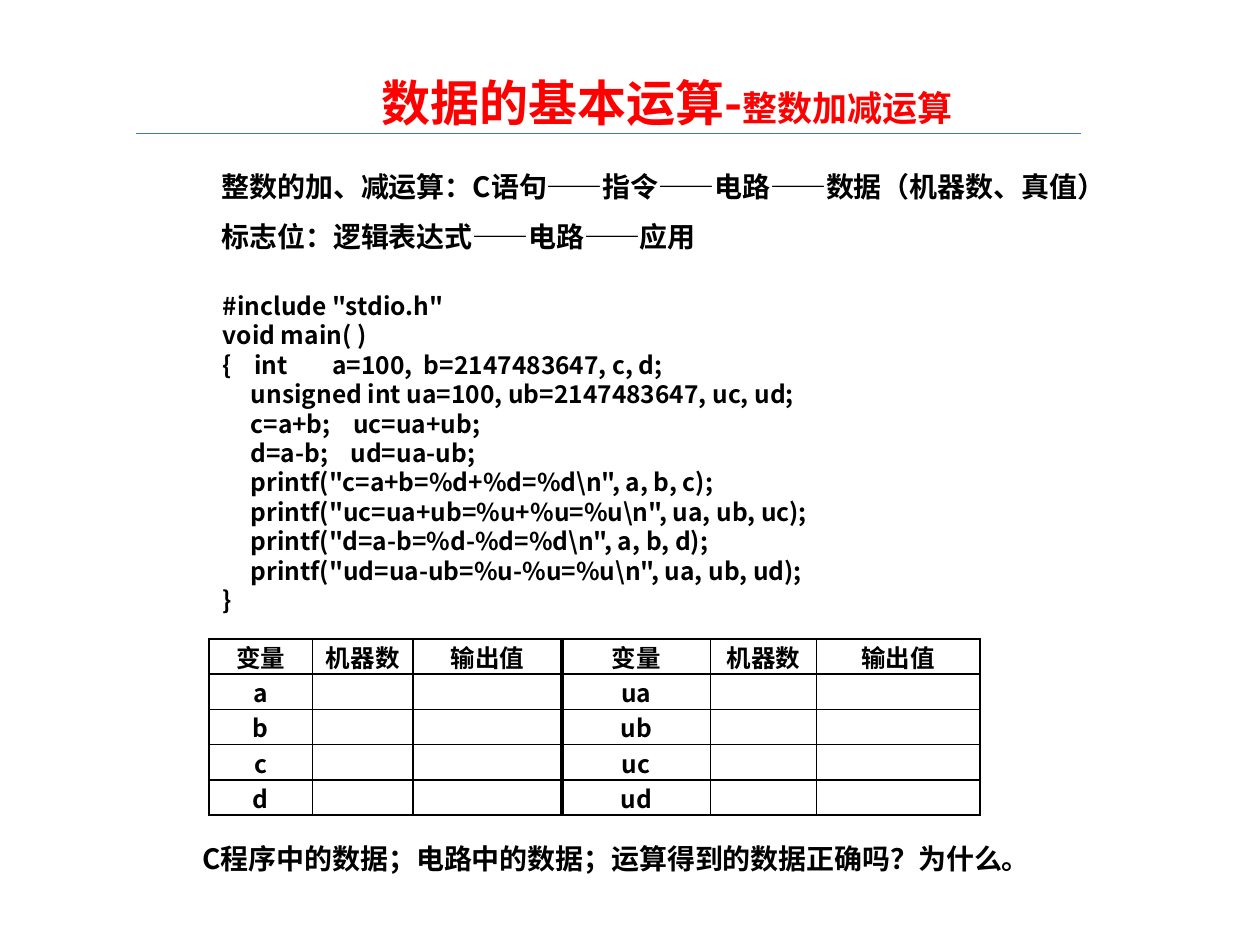
from lxml import etree
from pptx import Presentation
from pptx import util as u
from pptx.dml.color import RGBColor
from pptx.enum import shapes, text
from pptx.oxml import ns

COLORS = {"title": "FF0000", "ink": "000000", "rule": "4472C4"}
FONT = "Noto Sans CJK SC"
ALIGN = text.PP_ALIGN


class SlideBuilder:
    def __init__(self, slide):
        self.slide = slide

    def color(self, key):
        return RGBColor.from_string(COLORS[key])

    def add_run(self, paragraph, words, size, color="ink"):
        run = paragraph.add_run()
        run.text = words
        run.font.size = u.Pt(size)
        run.font.bold = True
        run.font.name = FONT
        run.font.color.rgb = self.color(color)
        east_asian = etree.SubElement(run._r.get_or_add_rPr(), ns.qn("a:ea"))
        east_asian.set("typeface", FONT)

    def place(self, shape, left, top, width, height):
        shape.left, shape.top = u.Inches(left), u.Inches(top)
        shape.width, shape.height = u.Inches(width), u.Inches(height)

    def title(self, box, parts):
        heading = self.slide.shapes.title
        self.place(heading, *box)
        frame = heading.text_frame
        frame.word_wrap = True
        frame.auto_size = text.MSO_AUTO_SIZE.SHAPE_TO_FIT_TEXT
        frame.vertical_anchor = text.MSO_ANCHOR.TOP
        frame.margin_left = frame.margin_right = u.Inches(0.05)
        frame.margin_top = frame.margin_bottom = u.Inches(0.02)
        paragraph = frame.paragraphs[0]
        paragraph.alignment = ALIGN.LEFT
        paragraph.line_spacing = 1.5
        for words, size in parts:
            self.add_run(paragraph, words, size, "title")

    def rule(self, left, right, y):
        line = self.slide.shapes.add_connector(
            shapes.MSO_CONNECTOR.STRAIGHT,
            u.Inches(left), u.Inches(y), u.Inches(right), u.Inches(y))
        line.line.color.rgb = self.color("rule")
        line.line.width = u.Pt(0.5)
        etree.SubElement(line._element.spPr, ns.qn("a:effectLst"))

    def text_box(self, box, lines, size, align=ALIGN.LEFT, spacing=None,
                 indent=None, wrap=True):
        frame = self.slide.shapes.add_textbox(*map(u.Inches, box)).text_frame
        frame.word_wrap = wrap
        frame.auto_size = text.MSO_AUTO_SIZE.SHAPE_TO_FIT_TEXT
        for index, words in enumerate(lines):
            paragraph = frame.add_paragraph() if index else frame.paragraphs[0]
            paragraph.alignment = align
            if spacing:
                paragraph.line_spacing = spacing
            if indent:
                properties = paragraph._p.get_or_add_pPr()
                properties.set("marL", "0")
                properties.set("indent", str(u.Inches(indent)))
            self.add_run(paragraph, words, size)

    def border(self, cell, side, points):
        edge = etree.SubElement(cell._tc.get_or_add_tcPr(), ns.qn("a:" + side))
        edge.set("w", str(u.Pt(points)))
        fill = etree.SubElement(edge, ns.qn("a:solidFill"))
        etree.SubElement(fill, ns.qn("a:srgbClr")).set("val", COLORS["ink"])

    def table(self, left, top, widths, row_height, rows, size, divider):
        grid = self.slide.shapes.add_table(
            len(rows), len(widths), u.Inches(left), u.Inches(top),
            u.Inches(sum(widths)), u.Inches(row_height * len(rows))).table
        grid.first_row = grid.horz_banding = False
        for column, width in zip(grid.columns, widths):
            column.width = u.Inches(width)
        for r, row in enumerate(rows):
            grid.rows[r].height = u.Inches(row_height)
            for c, words in enumerate(row):
                cell = grid.cell(r, c)
                cell.vertical_anchor = text.MSO_ANCHOR.MIDDLE
                cell.margin_left = cell.margin_right = u.Inches(0.07)
                cell.margin_top = cell.margin_bottom = 0
                self.border(cell, "lnL", 2.25 if c == divider else 1)
                self.border(cell, "lnR", 2.25 if c + 1 == divider else 1)
                self.border(cell, "lnT", 1)
                self.border(cell, "lnB", 1)
                cell.fill.background()
                paragraph = cell.text_frame.paragraphs[0]
                paragraph.alignment = ALIGN.CENTER
                if words:
                    self.add_run(paragraph, words, size)
                else:
                    end = etree.SubElement(paragraph._p, ns.qn("a:endParaRPr"))
                    end.set("sz", str(size * 100))


PROGRAM = r'''#include "stdio.h"
void main( )
{    int        a=100,  b=2147483647, c, d;
     unsigned int ua=100, ub=2147483647, uc, ud;
     c=a+b;    uc=ua+ub;
     d=a-b;    ud=ua-ub;
     printf("c=a+b=%d+%d=%d\n", a, b, c);
     printf("uc=ua+ub=%u+%u=%u\n", ua, ub, uc);
     printf("d=a-b=%d-%d=%d\n", a, b, d);
     printf("ud=ua-ub=%u-%u=%u\n", ua, ub, ud);
}'''

TOPICS = ["整数的加、减运算：C语句——指令——电路——数据（机器数、真值）",
          "标志位：逻辑表达式——电路——应用"]
QUESTION = "C程序中的数据；电路中的数据；运算得到的数据正确吗？为什么。"


def main():
    deck = Presentation()
    deck.slide_width, deck.slide_height = u.Inches(10), u.Inches(7.5)
    builder = SlideBuilder(deck.slides.add_slide(deck.slide_layouts[5]))

    builder.rule(1.08, 8.58, 1.06)
    builder.title((2.98, 0.32, 5.95, 0.67),
                  [("数据的基本运算-", 28), ("整数加减运算", 20)])
    builder.text_box((1.38, 2.26, 5.54, 2.69), PROGRAM.split("\n"), 14,
                     align=ALIGN.JUSTIFY, indent=0.29)
    builder.text_box((1.66, 1.16, 7.35, 0.87), TOPICS, 16, spacing=1.5)

    header = ["变量", "机器数", "输出值"] * 2
    variables = [[name, "", "", "u" + name, "", ""] for name in "abcd"]
    builder.table(1.66, 5.07, [0.82, 0.8, 1.18, 1.18, 0.84, 1.3], 0.28,
                  [header] + variables, 14, divider=3)
    builder.text_box((1.51, 6.63, 6.86, 0.37), [QUESTION], 16, wrap=False)

    deck.save("out.pptx")


if __name__ == "__main__":
    main()
